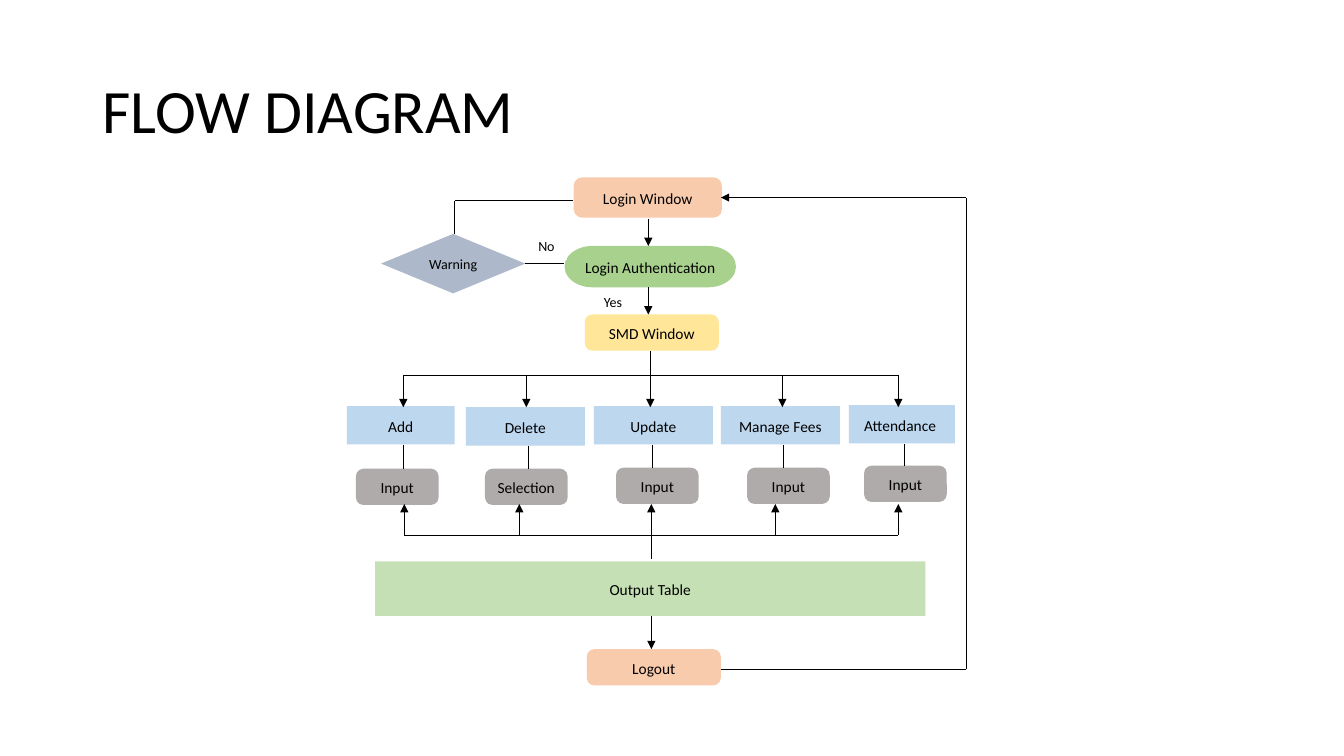
from dataclasses import dataclass

import pptx
import pptx.dml.color
import pptx.enum.shapes
import pptx.enum.text
import pptx.oxml
import pptx.oxml.ns
import pptx.util

Shape = pptx.enum.shapes.MSO_SHAPE
Align = pptx.enum.text.PP_ALIGN
Anchor = pptx.enum.text.MSO_ANCHOR


@dataclass(frozen=True)
class Theme:
    font: str = "Calibri"
    ink: str = "000000"
    paper: str = "FFFFFF"
    gate: str = "F8CBAD"
    check: str = "A9D18E"
    window: str = "FFE699"
    warning: str = "ADB9CA"
    action: str = "BDD7EE"
    step: str = "AFABAB"
    output: str = "C5E0B4"
    title_size: float = 44
    node_size: float = 11
    small_size: float = 10
    line_width: float = 0.5
    corner: float = 0.207


@dataclass(frozen=True)
class Grid:
    """Square cells, 75 rows to the slide's height."""
    columns: float = 133.3
    rows: float = 75
    cell: int = pptx.util.Inches(0.1)

    def length(self, cells: float) -> int:
        return round(cells * self.cell)


@dataclass(frozen=True)
class Area:
    left: float
    top: float
    width: float
    height: float


@dataclass(frozen=True)
class Node:
    text: str
    area: Area
    fill: str
    shape: Shape = Shape.ROUNDED_RECTANGLE
    size: float = Theme.node_size


@dataclass(frozen=True)
class Label:
    text: str
    area: Area
    size: float = Theme.small_size
    fill: str = ""
    anchor: Anchor = Anchor.TOP
    line_spacing: float = 1.07
    space_after: float = 8


@dataclass(frozen=True)
class Route:
    """A run of straight lines through the points; the last may end in an arrow."""
    points: tuple[tuple[float, float], ...]
    arrow: bool = False


@dataclass(frozen=True)
class Branch:
    action: str
    action_area: Area
    step: str
    step_left: float
    step_top: float
    feed_x: float
    link_x: float
    return_x: float


THEME = Theme()
GRID = Grid()
FEED_ROW, RETURN_ROW = 37.2, 53.1
ACTION_HEIGHT, STEP_WIDTH, STEP_HEIGHT = 3.8, 8.2, 3.6

BRANCHES = [
    Branch("Add", Area(34.4, 40.3, 10.7, ACTION_HEIGHT), "Input", 35.3, 46.5, 40, 40, 40.1),
    Branch("Delete", Area(46.2, 40.4, 11.8, ACTION_HEIGHT), "Selection", 48.1, 46.5, 52.2, 52.4, 51.5),
    Branch("Update", Area(58.9, 40.3, 11.8, ACTION_HEIGHT), "Input", 61.1, 46.4, 64.5, 64.7, 64.6),
    Branch("Manage Fees", Area(71.5, 40.3, 11.8, ACTION_HEIGHT), "Input", 74.1, 46.4, 77.6, 77.7, 76.9),
    Branch("Attendance ", Area(84.2, 40.2, 10.5, ACTION_HEIGHT), "Input", 85.7, 46.2, 89.1, 89.7, 89.1),
]

NODES = [
    Node("Login Window", Area(56.9, 17.6, 14.7, 4), THEME.gate),
    Node("Login Authentication", Area(56, 24.4, 17, 4.1), THEME.check, Shape.FLOWCHART_TERMINATOR),
    Node("Warning", Area(37.8, 23.2, 14.3, 5.9), THEME.warning, Shape.DIAMOND, THEME.small_size),
    Node("SMD Window", Area(58, 31.2, 13.3, STEP_HEIGHT), THEME.window),
    Node("Output Table", Area(37.2, 55.7, 54.6, 5.4), THEME.output, Shape.RECTANGLE),
    Node("Logout", Area(58.2, 64.4, 13.3, STEP_HEIGHT), THEME.gate),
]

LABELS = [
    Label("FLOW DIAGRAM", Area(9.2, 4, 115, 14.5), THEME.title_size,
          anchor=Anchor.MIDDLE, line_spacing=0.9, space_after=0),
    Label("No", Area(52.4, 23, 3.8, 2.8), fill=THEME.paper),
    Label("Yes", Area(58.9, 28.5, 5.1, 2.7)),
]

ROUTES = [
    Route(((64.3, 21.7), (64.3, 24.4)), arrow=True),
    Route(((64.3, 28.5), (64.3, 31.2)), arrow=True),
    Route(((55.9, 26.1), (52.1, 26.1))),
    Route(((45.1, 23.2), (45.1, 19.9), (56.8, 19.9))),
    Route(((64.5, 34.8), (64.5, FEED_ROW))),
    Route(((BRANCHES[0].feed_x, FEED_ROW), (BRANCHES[-1].feed_x, FEED_ROW))),
    Route(((BRANCHES[0].return_x, RETURN_ROW), (BRANCHES[-1].return_x, RETURN_ROW))),
    Route(((64.6, RETURN_ROW), (64.6, 55.5))),
    Route(((64.6, 61.1), (64.6, 64.4)), arrow=True),
    Route(((71.5, 66.4), (95.8, 66.4), (95.8, 19.6), (71.5, 19.6)), arrow=True),
]


def colour(code: str) -> pptx.dml.color.RGBColor:
    return pptx.dml.color.RGBColor.from_string(code)


def place(area: Area) -> list[int]:
    return [GRID.length(side) for side in (area.left, area.top, area.width, area.height)]


def write(box, text: str, size: float, align: Align, anchor: Anchor,
          line_spacing: float = 1.07, space_after: float = 8) -> None:
    frame = box.text_frame
    frame.text = text
    frame.word_wrap = True
    frame.vertical_anchor = anchor
    para = frame.paragraphs[0]
    para.alignment = align
    para.line_spacing = line_spacing
    para.space_after = pptx.util.Pt(space_after)
    for span in para.runs:
        span.font.name = THEME.font
        span.font.size = pptx.util.Pt(size)
        span.font.color.rgb = colour(THEME.ink)


def draw_node(page, node: Node) -> None:
    box = page.shapes.add_shape(node.shape, *place(node.area))
    box.shadow.inherit = False
    box.fill.solid()
    box.fill.fore_color.rgb = colour(node.fill)
    box.line.fill.background()
    if node.shape == Shape.ROUNDED_RECTANGLE:
        box.adjustments[0] = THEME.corner
    box.text_frame.margin_left = box.text_frame.margin_right = 0
    write(box, node.text, node.size, Align.CENTER, Anchor.MIDDLE)


def draw_label(page, label: Label) -> None:
    box = page.shapes.add_textbox(*place(label.area))
    if label.fill:
        box.fill.solid()
        box.fill.fore_color.rgb = colour(label.fill)
    write(box, label.text, label.size, Align.LEFT, label.anchor,
          label.line_spacing, label.space_after)


def draw_route(page, route: Route) -> None:
    for start, end in zip(route.points, route.points[1:]):
        ends = [GRID.length(value) for value in (*start, *end)]
        line = page.shapes.add_connector(pptx.enum.shapes.MSO_CONNECTOR.STRAIGHT, *ends)
        line.line.width = pptx.util.Pt(THEME.line_width)
        line.line.color.rgb = colour(THEME.ink)
        if route.arrow and end == route.points[-1]:
            head = pptx.oxml.parse_xml(
                f'<a:tailEnd {pptx.oxml.ns.nsdecls("a")} type="triangle"/>')
            line.line._get_or_add_ln().append(head)
        line._element.spPr.append(
            pptx.oxml.parse_xml(f'<a:effectLst {pptx.oxml.ns.nsdecls("a")}/>'))


def draw_branch(page, branch: Branch) -> None:
    """Draws an action, its step and the lines that join them to the flow."""
    action_bottom = branch.action_area.top + ACTION_HEIGHT
    step_area = Area(branch.step_left, branch.step_top, STEP_WIDTH, STEP_HEIGHT)
    draw_node(page, Node(branch.action, branch.action_area, THEME.action, Shape.RECTANGLE))
    draw_node(page, Node(branch.step, step_area, THEME.step))
    draw_route(page, Route(((branch.feed_x, FEED_ROW), (branch.feed_x, 40.4)), arrow=True))
    draw_route(page, Route(((branch.link_x, action_bottom), (branch.link_x, branch.step_top))))
    draw_route(page, Route(((branch.return_x, RETURN_ROW), (branch.return_x, 50)), arrow=True))


def main() -> None:
    deck = pptx.Presentation()
    deck.slide_width = GRID.length(GRID.columns)
    deck.slide_height = GRID.length(GRID.rows)
    page = deck.slides.add_slide(deck.slide_layouts[6])
    for node in NODES:
        draw_node(page, node)
    for branch in BRANCHES:
        draw_branch(page, branch)
    for route in ROUTES:
        draw_route(page, route)
    for label in LABELS:
        draw_label(page, label)
    deck.save("out.pptx")


if __name__ == "__main__":
    main()
